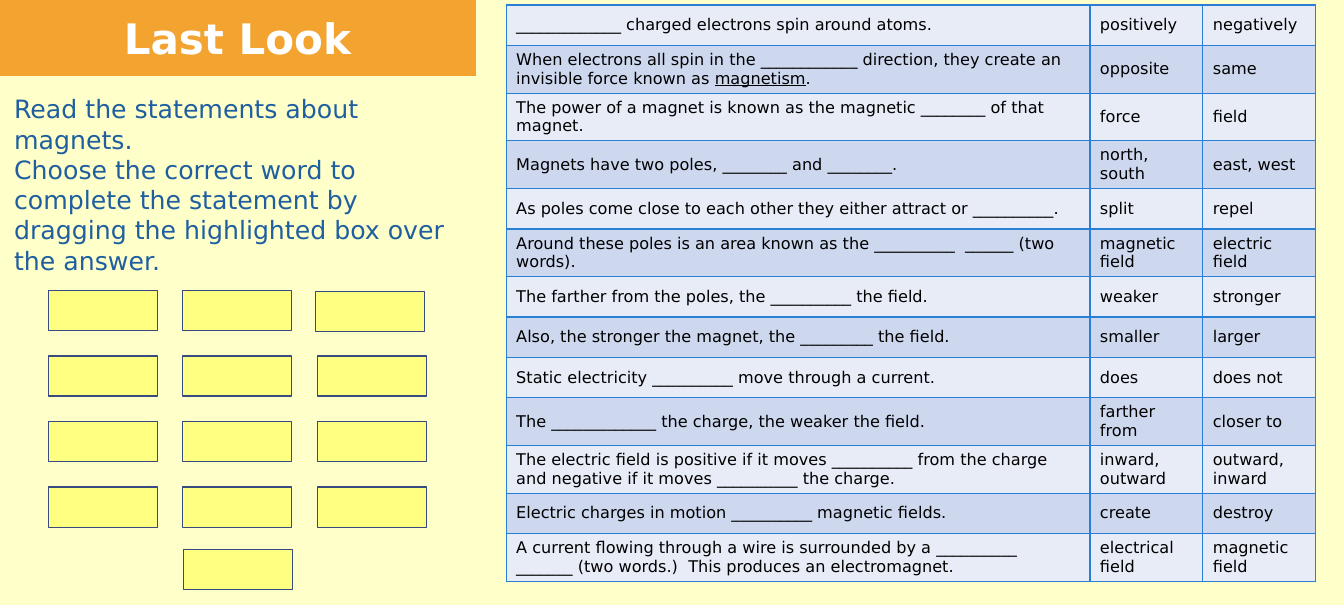
from dataclasses import dataclass
from itertools import product

from lxml import etree
from pptx import Presentation, util as u
from pptx.dml.color import RGBColor
from pptx.enum import shapes, text
from pptx.oxml.ns import qn

EMU_PER_PX = 9144  # 100 px to the inch


@dataclass(frozen=True)
class Theme:
    font: str = "DejaVu Sans"
    background: str = "FFFFC9"
    banner: str = "F3A32F"
    banner_text: str = "FFFFFF"
    instruction: str = "1F5FA0"
    bands: tuple = ("E8ECF7", "CDD8EF")
    grid: str = "297FD5"
    table_text: str = "000000"
    highlight: str = "FFFF00"
    highlight_line: str = "374B7F"
    highlight_opacity: int = 35
    title_size: float = 30
    body_size: float = 18
    table_size: float = 11.5


TITLE = "Last Look"
INSTRUCTIONS = (
    "Read the statements about magnets.",
    "Choose the correct word to complete the statement by dragging the highlighted box over the answer.",
)
# Words between asterisks are underlined.
STATEMENTS = (
    ("_____________ charged electrons spin around atoms.", "positively", "negatively"),
    ("When electrons all spin in the ____________ direction, they create an invisible force "
     "known as *magnetism*.", "opposite", "same"),
    ("The power of a magnet is known as the magnetic ________ of that magnet.", "force", "field"),
    ("Magnets have two poles, ________ and ________.", "north, south", "east, west"),
    ("As poles come close to each other they either attract or __________.", "split", "repel"),
    ("Around these poles is an area known as the __________  ______ (two words).",
     "magnetic field", "electric field"),
    ("The farther from the poles, the __________ the field.", "weaker", "stronger"),
    ("Also, the stronger the magnet, the _________ the field.", "smaller", "larger"),
    ("Static electricity __________ move through a current.", "does", "does not"),
    ("The _____________ the charge, the weaker the field.", "farther from", "closer to"),
    ("The electric field is positive if it moves __________ from the charge and negative if it "
     "moves __________ the charge.", "inward, outward", "outward, inward"),
    ("Electric charges in motion __________ magnetic fields.", "create", "destroy"),
    ("A current flowing through a wire is surrounded by a __________  _______ (two words.)  "
     "This produces an electromagnet.", "electrical field", "magnetic field"),
)


def px(length):
    return u.Emu(length * EMU_PER_PX)


def rgb(color):
    return RGBColor.from_string(color)


def write(para, words, *, font, size, color, bold=False, align=text.PP_ALIGN.LEFT):
    """Fill a paragraph, underlining whatever stands between asterisks."""
    para.alignment = align
    para.space_before = u.Pt(0)
    for index, part in enumerate(words.split("*")):
        span = para.add_run()
        span.text = part
        span.font.name = font
        span.font.size = u.Pt(size)
        span.font.bold = bold
        span.font.color.rgb = rgb(color)
        if index % 2:
            span.font.underline = True


def border_cell(cell, color, points):
    properties = cell._tc.get_or_add_tcPr()
    for side in ("a:lnL", "a:lnR", "a:lnT", "a:lnB"):
        line = etree.SubElement(properties, qn(side), w=str(u.Pt(points)))
        fill = etree.SubElement(line, qn("a:solidFill"))
        etree.SubElement(fill, qn("a:srgbClr"), val=color)


class SlideBuilder:
    def __init__(self, page, theme):
        self.page = page
        self.theme = theme
        page.background.fill.solid()
        page.background.fill.fore_color.rgb = rgb(theme.background)

    def place(self, box, left, top, width, height):
        box.left, box.top, box.width, box.height = map(px, (left, top, width, height))

    def paint(self, box, fill, line):
        box.fill.solid()
        box.fill.fore_color.rgb = rgb(fill)
        box.line.color.rgb = rgb(line)
        box.line.width = u.Pt(1)

    def title(self, words, *area):
        theme, box = self.theme, self.page.shapes.title
        self.place(box, *area)
        self.paint(box, theme.banner, theme.banner)
        frame = box.text_frame
        frame.auto_size = text.MSO_AUTO_SIZE.NONE
        frame.vertical_anchor = text.MSO_ANCHOR.MIDDLE
        write(frame.paragraphs[0], words, font=theme.font, size=theme.title_size,
              color=theme.banner_text, bold=True, align=text.PP_ALIGN.CENTER)

    def body(self, lines, *area):
        theme, box = self.theme, self.page.placeholders[1]
        self.place(box, *area)
        frame = box.text_frame
        frame.auto_size = text.MSO_AUTO_SIZE.NONE
        for index, words in enumerate(lines):
            para = frame.add_paragraph() if index else frame.paragraphs[0]
            properties = para._p.get_or_add_pPr()
            properties.set("marL", "0")
            properties.set("indent", "0")
            etree.SubElement(properties, qn("a:buNone"))
            write(para, words, font=theme.font, size=theme.body_size, color=theme.instruction)

    def table(self, rows, left, top, widths, row_height):
        theme = self.theme
        table = self.page.shapes.add_table(
            len(rows), len(widths), px(left), px(top),
            px(sum(widths)), px(row_height * len(rows))).table
        table.first_row = table.horz_banding = False
        for column, width in zip(table.columns, widths):
            column.width = px(width)
        for index, row in enumerate(rows):
            for cell, words in zip(table.rows[index].cells, row):
                border_cell(cell, theme.grid, 1)
                cell.fill.solid()
                cell.fill.fore_color.rgb = rgb(theme.bands[index % 2])
                cell.vertical_anchor = text.MSO_ANCHOR.MIDDLE
                write(cell.text_frame.paragraphs[0], words, font=theme.font,
                      size=theme.table_size, color=theme.table_text)

    def highlight(self, left, top):
        theme = self.theme
        box = self.page.shapes.add_shape(
            shapes.MSO_SHAPE.RECTANGLE, px(left), px(top), px(108), px(40))
        box.shadow.inherit = False
        self.paint(box, theme.highlight, theme.highlight_line)
        fill_color = box._element.spPr.find(qn("a:solidFill")).find(qn("a:srgbClr"))
        etree.SubElement(fill_color, qn("a:alpha"), val=str(theme.highlight_opacity * 1000))


def main():
    deck = Presentation()
    deck.slide_width, deck.slide_height = px(1333), px(600)
    builder = SlideBuilder(deck.slides.add_slide(deck.slide_layouts[1]), Theme())

    builder.title(TITLE, 0, 0, 471, 75)
    builder.body(INSTRUCTIONS, 4, 88, 461, 192)
    builder.table(STATEMENTS, 502, 5, (579, 112, 112), 40)

    nudged = {(315, 288): (313, 289)}
    for corner in product((48, 181, 315), range(288, 484, 65)):
        builder.highlight(*nudged.get(corner, corner))
    builder.highlight(182, 545)

    deck.save("out.pptx")


if __name__ == "__main__":
    main()
